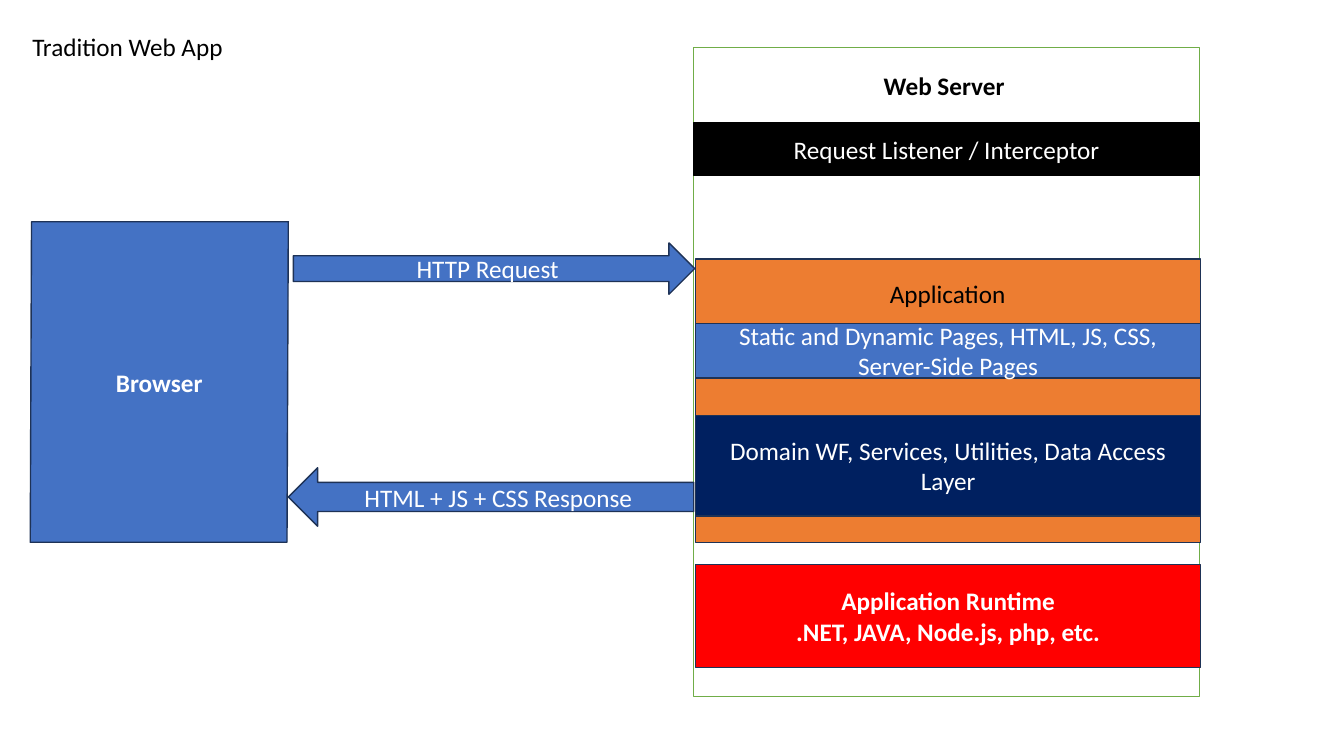
import dataclasses
import typing

import pptx
import pptx.dml.color
import pptx.enum.shapes
import pptx.enum.text
import pptx.util

SHAPE = pptx.enum.shapes.MSO_SHAPE
ALIGN = pptx.enum.text.PP_ALIGN
ANCHOR = pptx.enum.text.MSO_ANCHOR


@dataclasses.dataclass(frozen=True)
class Theme:
    """Colours and type sizes of the slide."""
    font: str = "Calibri"
    size: int = 18
    line_width: int = 1
    dark: str = "000000"
    light: str = "FFFFFF"
    outline: str = "1E3256"
    server_edge: str = "70AD47"
    primary: str = "4472C4"
    application: str = "ED7D31"
    domain: str = "002060"
    runtime: str = "FF0000"


class Area(typing.NamedTuple):
    """Place on the slide, in percent of its width and height."""
    left: float
    top: float
    width: float
    height: float


class Block(typing.NamedTuple):
    """A filled shape with a centred label."""
    area: Area
    fill: str
    label: str = ""
    bold: bool = False
    line: str = Theme.outline
    kind: SHAPE = SHAPE.RECTANGLE
    adjustment: typing.Optional[float] = None


class Caption(typing.NamedTuple):
    """A heading without a fill."""
    area: Area
    label: str
    bold: bool = False


THEME = Theme()
deck = pptx.Presentation()
deck.slide_width = pptx.util.Inches(13.33)
deck.slide_height = pptx.util.Inches(7.5)
slide = deck.slides.add_slide(deck.slide_layouts[5])


def place(area: Area) -> typing.List[int]:
    """Turn percentages into slide lengths."""
    spans = (deck.slide_width, deck.slide_height) * 2
    return [round(span * share / 100) for span, share in zip(spans, area)]


def rgb(code: str) -> pptx.dml.color.RGBColor:
    """Read a hexadecimal colour."""
    return pptx.dml.color.RGBColor.from_string(code)


def write(frame, text: str, *, color: str, bold: bool = False,
          align=ALIGN.CENTER, anchor=ANCHOR.MIDDLE) -> None:
    """Fill a text frame, one paragraph per line of text."""
    frame.text = text
    frame.word_wrap = True
    frame.auto_size = pptx.enum.text.MSO_AUTO_SIZE.NONE
    frame.vertical_anchor = anchor
    for paragraph in frame.paragraphs:
        paragraph.alignment = align
        font = paragraph.runs[0].font
        font.name, font.size = THEME.font, pptx.util.Pt(THEME.size)
        font.bold, font.color.rgb = bold, rgb(color)


def draw_block(block: Block) -> None:
    """Draw a shape and its label."""
    shape = slide.shapes.add_shape(block.kind, *place(block.area))
    shape.shadow.inherit = False
    shape.fill.solid()
    shape.fill.fore_color.rgb = rgb(block.fill)
    shape.line.color.rgb = rgb(block.line)
    shape.line.width = pptx.util.Pt(THEME.line_width)
    if block.adjustment is not None:
        shape.adjustments[0] = block.adjustment
    if block.label:
        write(shape.text_frame, block.label, color=THEME.light, bold=block.bold)


def draw_caption(caption: Caption) -> None:
    """Draw a heading over the block behind it."""
    box = slide.shapes.add_textbox(*place(caption.area))
    write(box.text_frame, caption.label, color=THEME.dark,
          bold=caption.bold, anchor=ANCHOR.TOP)


def server_area(top: float, height: float) -> Area:
    """Give the area of the server frame's own column."""
    return Area(51.6, top, 37.66, height)


def layer_area(top: float, height: float) -> Area:
    """Give the area of a layer inside the server."""
    return Area(51.76, top, 37.58, height)


def draw_title(text: str, area: Area) -> None:
    """Move the title placeholder and fill it."""
    title = slide.shapes.title
    title.left, title.top, title.width, title.height = place(area)
    write(title.text_frame, text, color=THEME.dark,
          align=ALIGN.LEFT, anchor=ANCHOR.TOP)


SERVER_STACK = [
    Block(server_area(6.27, 85.87), THEME.light, line=THEME.server_edge),
    Caption(Area(51.76, 8.67, 36.98, 5.33), "Web Server", bold=True),
    Block(server_area(16.27, 6.93), THEME.dark,
          "Request Listener / Interceptor", line=THEME.dark),
    Block(layer_area(34.27, 37.47), THEME.application),
    Caption(Area(55.21, 36.13, 30.61, 5.33), "Application"),
    Block(layer_area(42.8, 7.2), THEME.primary,
          "Static and Dynamic Pages, HTML, JS, CSS, Server-Side Pages"),
    Block(layer_area(54.93, 13.33), THEME.domain,
          "Domain WF, Services, Utilities, Data Access Layer"),
    Block(layer_area(74.67, 13.6), THEME.runtime,
          "Application Runtime\n.NET, JAVA, Node.js, php, etc.", bold=True),
]
CLIENT_EXCHANGE = [
    Block(Area(2.25, 29.33, 19.2, 42.4), THEME.primary, "Browser", bold=True,
          kind=SHAPE.PARALLELOGRAM, adjustment=0.005),
    Block(Area(21.83, 32.13, 29.86, 6.8), THEME.primary, "HTTP Request",
          kind=SHAPE.RIGHT_ARROW),
    Block(Area(21.46, 61.87, 30.16, 7.73), THEME.primary,
          "HTML + JS + CSS Response", kind=SHAPE.LEFT_ARROW),
]

draw_title("Tradition Web App", Area(1.65, 3.47, 37.13, 5.33))
for part in SERVER_STACK + CLIENT_EXCHANGE:
    if isinstance(part, Block):
        draw_block(part)
    else:
        draw_caption(part)

deck.save("out.pptx")
